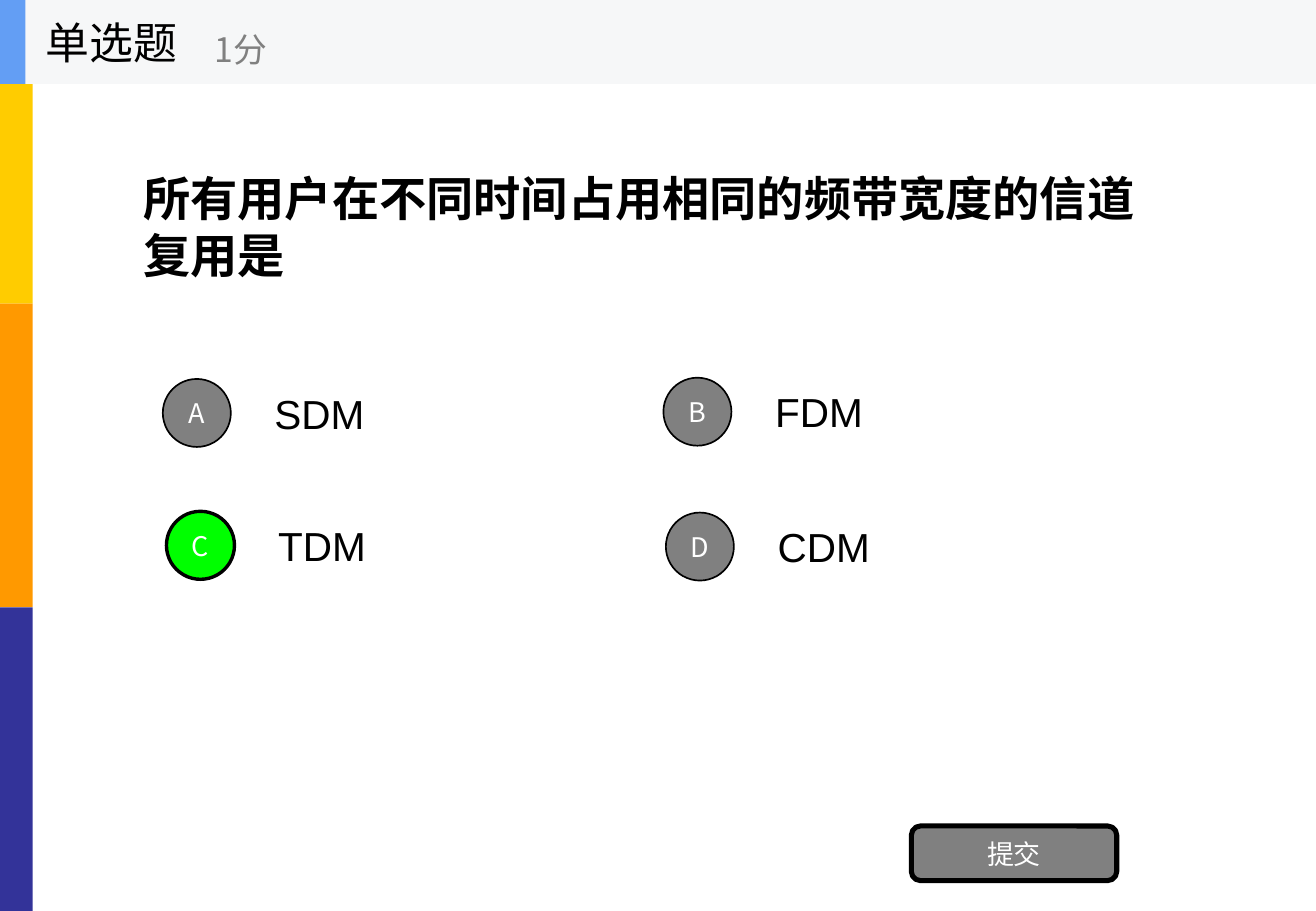
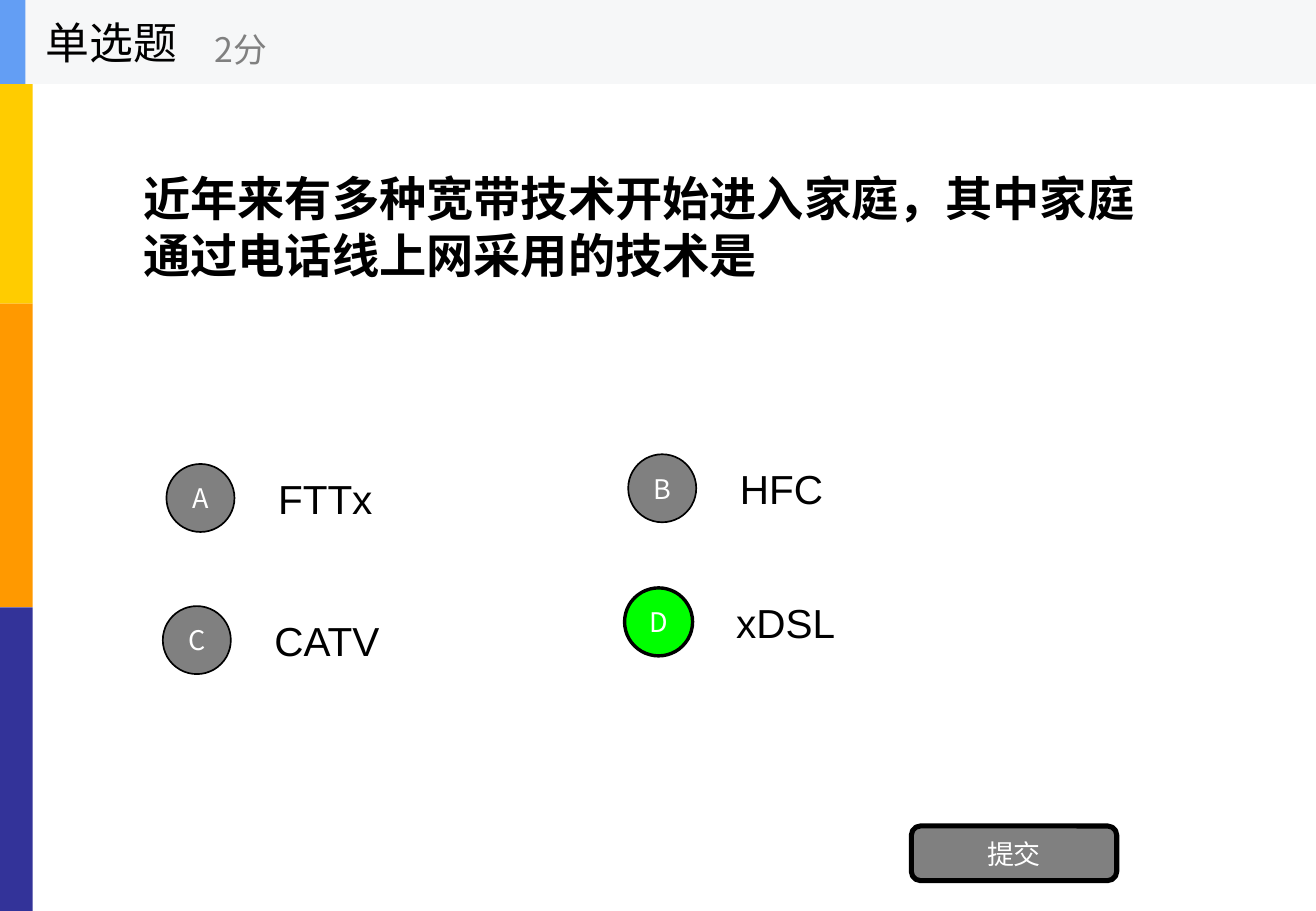
from dataclasses import dataclass

from lxml.etree import SubElement
from pptx import Presentation
from pptx.dml.color import RGBColor
from pptx.enum.shapes import MSO_SHAPE as Shape
from pptx.enum.text import MSO_ANCHOR as Anchor, MSO_AUTO_SIZE as AutoSize, PP_ALIGN as Align
from pptx.oxml.ns import qn
from pptx.util import Pt

PX = 9144
SLIDE_W, SLIDE_H = 1083, 750
BLACK = RGBColor(0x00, 0x00, 0x00)
WHITE = RGBColor(0xFF, 0xFF, 0xFF)
GRAY = RGBColor(0x80, 0x80, 0x80)
GREEN = RGBColor(0x00, 0xFF, 0x00)
HEADER_FILL = RGBColor(0xF6, 0xF7, 0xF8)
HEADER_ACCENT = RGBColor(0x63, 0x9E, 0xF4)
BAND_COLORS = (
    RGBColor(0xFF, 0xCC, 0x00),
    RGBColor(0xFF, 0x99, 0x00),
    RGBColor(0x33, 0x33, 0x99),
)
LATIN_FONT = "Arial"
CJK_FONT = "Noto Sans CJK SC"
BAND_W = 27
HEADER_H = 69
CIRCLE = 56
OPTION_DX, OPTION_DY = 82, -7


@dataclass
class Question:
    points: str
    wording: str
    answer: str
    options: tuple


QUESTIONS = (
    Question("1分", "所有用户在不同时间占用相同的频带宽度的信道复用是", "C", (
        ("A", "SDM", 134, 312),
        ("B", "FDM", 546, 311),
        ("C", "TDM", 137, 421),
        ("D", "CDM", 548, 422),
    )),
    Question("2分", "近年来有多种宽带技术开始进入家庭，其中家庭通过电话线上网采用的技术是", "D", (
        ("A", "FTTx", 137, 382),
        ("B", "HFC", 517, 374),
        ("C", "CATV", 134, 499),
        ("D", "xDSL", 514, 484),
    )),
)


def px(*lengths):
    return [length * PX for length in lengths]


def write(shape, wording, size, color, font, bold=False, align=Align.LEFT):
    frame = shape.text_frame
    frame.word_wrap = True
    frame.auto_size = AutoSize.NONE
    frame.vertical_anchor = Anchor.MIDDLE
    paragraph = frame.paragraphs[0]
    paragraph.alignment = align
    run = paragraph.add_run()
    run.text = wording
    run.font.size = Pt(size)
    run.font.bold = bold
    run.font.name = font
    run.font.color.rgb = color
    SubElement(run.font._element, qn("a:ea"), typeface=font)


def add_block(shapes, kind, box, fill, line_width=0):
    block = shapes.add_shape(kind, *px(*box))
    block.shadow.inherit = False
    block.fill.solid()
    block.fill.fore_color.rgb = fill
    if line_width:
        block.line.color.rgb = BLACK
        block.line.width = Pt(line_width)
    else:
        block.line.fill.background()
    return block


def add_label(shapes, box, wording, size, color, font):
    write(shapes.add_textbox(*px(*box)), wording, size, color, font)


def add_button(shapes, kind, box, fill, line_width, caption):
    button = add_block(shapes, kind, box, fill, line_width)
    frame = button.text_frame
    frame.margin_left = frame.margin_right = 0
    frame.margin_top = frame.margin_bottom = 0
    write(button, caption, 16, WHITE, CJK_FONT, align=Align.CENTER)


def add_bands(slide):
    layout_tree = slide.slide_layout.shapes.element
    band_h = SLIDE_H // len(BAND_COLORS)
    for row, color in enumerate(BAND_COLORS):
        band = add_block(slide.shapes, Shape.RECTANGLE,
                         (0, row * band_h, BAND_W, band_h), color)
        layout_tree.insert(2 + row, band.element)


def add_header(slide, points):
    header = slide.shapes.add_group_shape().shapes
    add_block(header, Shape.RECTANGLE, (0, 0, SLIDE_W, HEADER_H), HEADER_FILL)
    add_block(header, Shape.RECTANGLE, (0, 0, 21, HEADER_H), HEADER_ACCENT)
    add_label(header, (28, 0, 208, HEADER_H), "单选题", 26, BLACK, CJK_FONT)
    add_label(header, (167, 12, 250, 56), points, 20, GRAY, CJK_FONT)


def add_wording(slide, wording):
    title = slide.shapes.title
    title.left, title.top, title.width, title.height = px(108, HEADER_H, 867, 234)
    write(title, wording, 28, BLACK, LATIN_FONT, bold=True)


def add_option(slide, letter, wording, left, top, correct):
    add_label(slide.shapes, (left + OPTION_DX, top + OPTION_DY, 301, 70),
              wording, 24, BLACK, LATIN_FONT)
    fill, line_width = (GREEN, 2) if correct else (GRAY, 1)
    add_button(slide.shapes, Shape.OVAL, (left, top, CIRCLE, CIRCLE),
               fill, line_width, letter)


def add_question(slide, question):
    add_wording(slide, question.wording)
    for letter, wording, left, top in question.options:
        add_option(slide, letter, wording, left, top, letter == question.answer)
    add_button(slide.shapes, Shape.ROUNDED_RECTANGLE, (750, 680, 169, 45),
               GRAY, 3, "提交")
    add_header(slide, question.points)


def main():
    deck = Presentation()
    deck.slide_width, deck.slide_height = px(SLIDE_W, SLIDE_H)
    title_only = deck.slide_layouts[5]
    slides = [deck.slides.add_slide(title_only) for _ in QUESTIONS]
    add_bands(slides[0])
    for slide, question in zip(slides, QUESTIONS):
        add_question(slide, question)
    deck.save("out.pptx")


if __name__ == "__main__":
    main()
